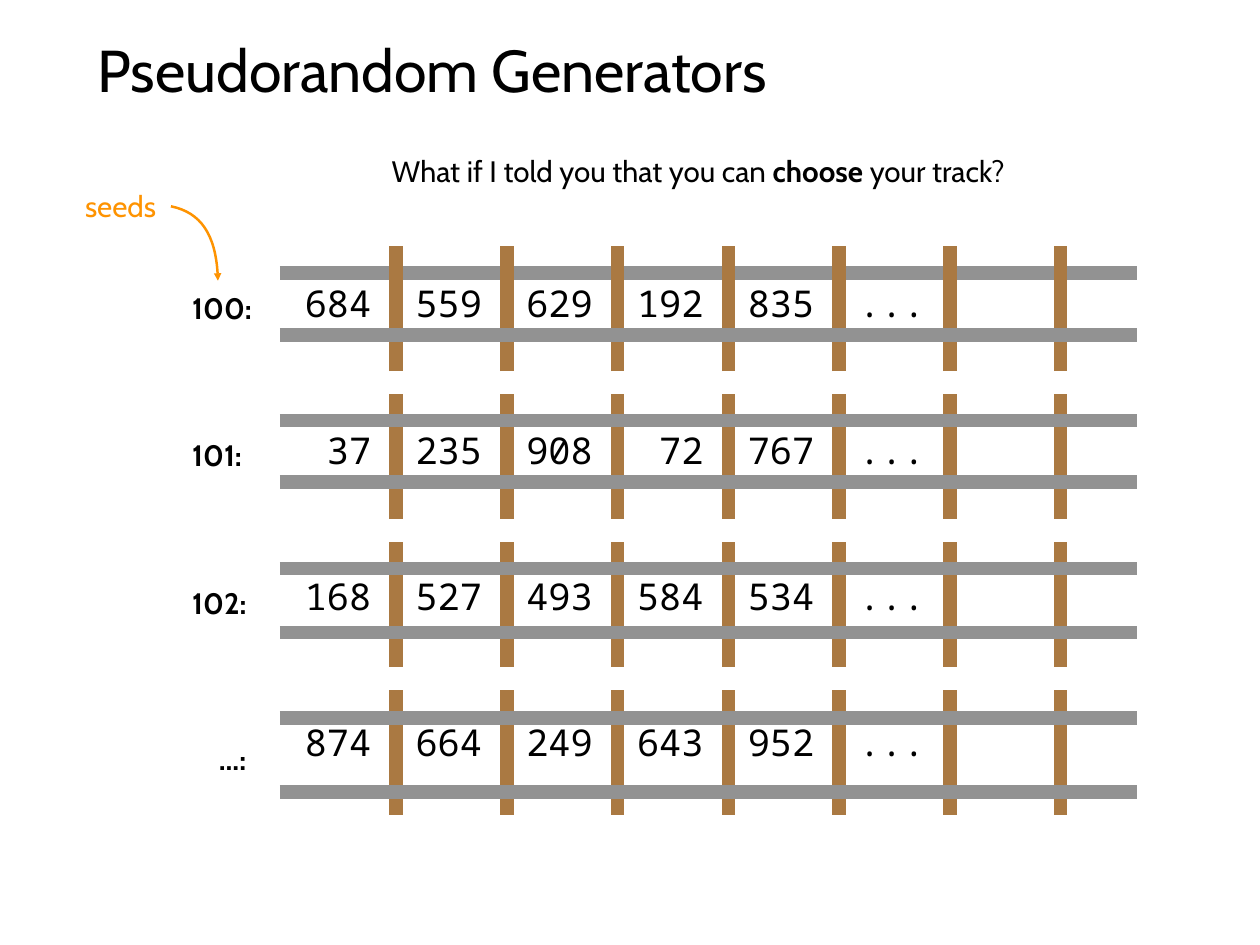
"""Build a slide that shows pseudorandom generators as seeded railway tracks."""
from lxml.etree import SubElement
from pptx import Presentation
from pptx.dml.color import RGBColor
from pptx.enum.shapes import MSO_CONNECTOR as Connector
from pptx.enum.text import MSO_ANCHOR as Anchor, MSO_AUTO_SIZE as AutoSize, PP_ALIGN as Align
from pptx.oxml.ns import qn
from pptx.util import Pt

COLORS = {"text": "000000", "rail": "929292", "tie": "AA7942", "seed": "FE9301"}
SCALE = 9144
TRACKS = [
    ("100:", 211, 322, (308, 378), ["684", "559", "629", "192", "835", "..."]),
    ("101:", 211, 488, (475, 544), ["37", "235", "908", "72", "767", "..."]),
    ("102:", 211, 655, (642, 714), ["168", "527", "493", "584", "534", "..."]),
    ("...:", 241, 832, (811, 894), ["874", "664", "249", "643", "952", "..."]),
]
TIE_COUNT, TIE_LEFT, TIE_TOP, TIE_LENGTH = 7, 447, 278, 141
COLUMN_PITCH, TRACK_PITCH = 125, 167
RAIL_LEFT, RAIL_RIGHT = 316, 1283


def px(length):
    return length * SCALE


def color(name):
    return RGBColor.from_string(COLORS[name])


class TrackSlide:
    def __init__(self, deck, font="Cabin", mono="Noto Sans Mono"):
        self.page = deck.slides.add_slide(deck.slide_layouts[5])
        self.font, self.mono = font, mono

    def style(self, para, size, tint="text", bold=False, name=None):
        para.font.name = name or self.font
        para.font.size = Pt(size)
        para.font.bold = bold
        para.font.color.rgb = color(tint)

    def frame(self, box, wrap):
        frame = box.text_frame
        frame.margin_left = frame.margin_right = px(6)
        frame.margin_top = frame.margin_bottom = px(6)
        frame.vertical_anchor = Anchor.MIDDLE
        frame.auto_size = AutoSize.NONE
        frame.word_wrap = wrap
        return frame

    def title(self, text, left, top, width, height):
        box = self.page.shapes.title
        box.left, box.top, box.width, box.height = map(px, (left, top, width, height))
        para = self.frame(box, True).paragraphs[0]
        para.text = text
        para.alignment = Align.LEFT
        self.style(para, 48)

    def text(self, spans, left, top, width, height, tint="text", bold=False):
        box = self.page.shapes.add_textbox(*map(px, (left, top, width, height)))
        para = self.frame(box, False).paragraphs[0]
        para.alignment = Align.LEFT
        self.style(para, 24, tint, bold)
        for words, strong in spans:
            span = para.add_run()
            span.text = words
            if strong:
                span.font.bold = True

    def numbers(self, rows, left, top, width, height):
        box = self.page.shapes.add_textbox(*map(px, (left, top, width, height)))
        frame = self.frame(box, True)
        for index, row in enumerate(rows):
            para = frame.add_paragraph() if index else frame.paragraphs[0]
            para.text = "".join("\t" + value for value in row)
            para.alignment = Align.LEFT
            para.line_spacing = Pt(64)
            para.space_before = Pt(55 if index else 0)
            stops = SubElement(para._p.get_or_add_pPr(), qn("a:tabLst"))
            for column in range(len(row)):
                SubElement(stops, qn("a:tab"), pos=str(px(75 + column * COLUMN_PITCH)), algn="r")
            self.style(para, 30, name=self.mono)

    def line(self, start, end, tint):
        line = self.page.shapes.add_connector(Connector.STRAIGHT, *map(px, start + end))
        line.line.color.rgb = color(tint)
        line.line.width = Pt(11)
        SubElement(line._element.spPr, qn("a:effectLst"))

    def rail(self, top):
        self.line((RAIL_LEFT, top), (RAIL_RIGHT, top), "rail")

    def curved_arrow(self, start, controls, end, tint):
        builder = self.page.shapes.build_freeform(*start, scale=SCALE)
        builder.add_line_segments([*controls, end], close=False)
        arrow = builder.convert_to_shape()
        arrow.shadow.inherit = False
        arrow.fill.background()
        arrow.line.color.rgb = color(tint)
        arrow.line.width = Pt(2)
        SubElement(arrow.line._get_or_add_ln(), qn("a:tailEnd"), type="triangle")
        outline = next(arrow._element.iter(qn("a:path")))
        segments = outline.findall(qn("a:lnTo"))
        curve = SubElement(outline, qn("a:cubicBezTo"))
        for segment in segments:
            curve.append(segment[0])
            outline.remove(segment)


def main():
    deck = Presentation()
    deck.slide_width, deck.slide_height = px(1422), px(1067)
    slide = TrackSlide(deck)
    slide.title("Pseudorandom Generators", 104, 28, 1214, 99)
    slide.numbers([values for *_, values in TRACKS], 338, 264, 718, 613)

    first_rail, *other_rails = [top for track in TRACKS for top in track[3]]
    slide.rail(first_rail)
    for row in range(len(TRACKS)):
        top = TIE_TOP + row * TRACK_PITCH
        for column in range(TIE_COUNT):
            left = TIE_LEFT + column * COLUMN_PITCH
            slide.line((left, top + TIE_LENGTH), (left, top), "tie")
    for top in other_rails:
        slide.rail(top)

    for label, left, top, *_ in TRACKS:
        slide.text([(label, False)], left, top, 81, 50, bold=True)
    slide.text([("seeds", False)], 90, 207, 87, 50, "seed")
    slide.curved_arrow((193, 233), [(227, 240), (245, 268)], (246, 317), "seed")
    question = [("What if I told you that you can ", False), ("choose", True), (" your track?", False)]
    slide.text(question, 436, 168, 715, 50)
    deck.save("out.pptx")


if __name__ == "__main__":
    main()
